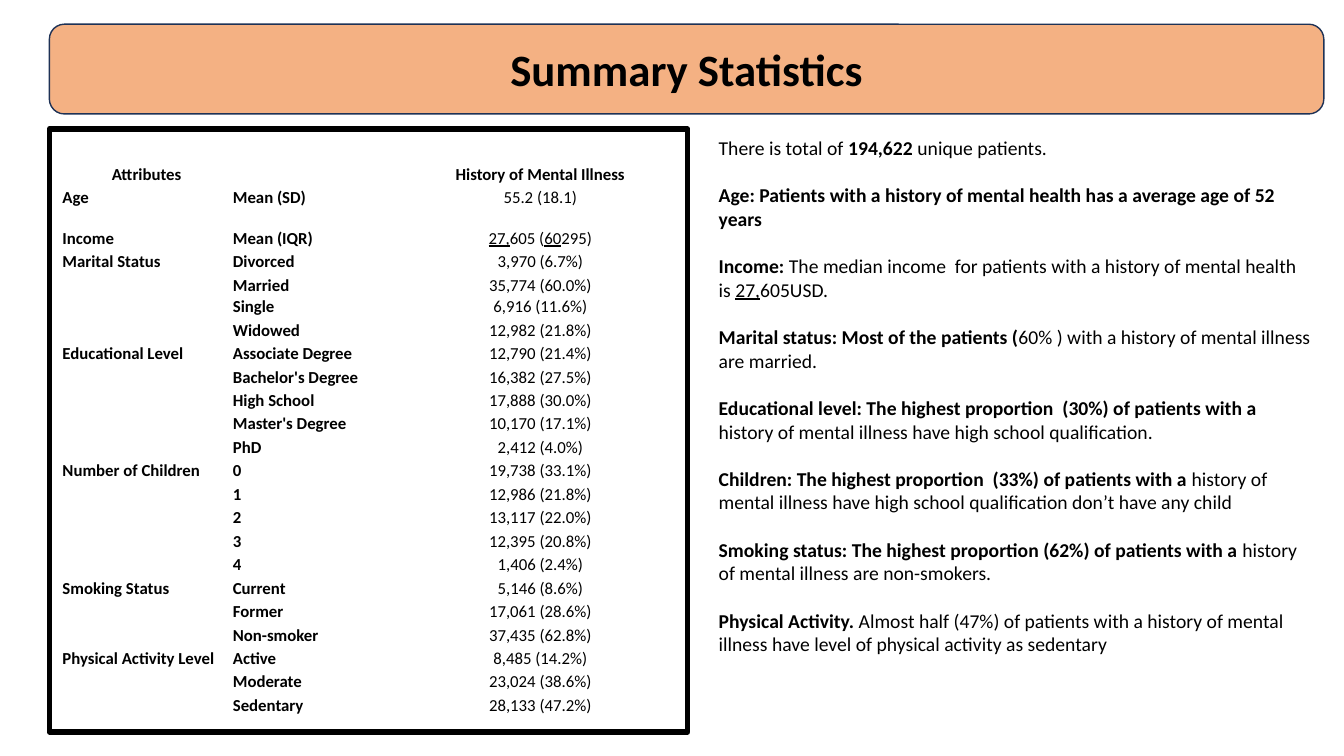
from lxml import etree
from pptx import Presentation
from pptx.dml.color import RGBColor
from pptx.enum.shapes import MSO_SHAPE
from pptx.enum.text import MSO_ANCHOR, MSO_AUTO_SIZE, PP_ALIGN
from pptx.oxml.ns import qn
from pptx.util import Inches, Pt

ROUND, RECT = MSO_SHAPE.ROUNDED_RECTANGLE, MSO_SHAPE.RECTANGLE
MIDDLE, BOTTOM = MSO_ANCHOR.MIDDLE, MSO_ANCHOR.BOTTOM
LEFT, CENTER = PP_ALIGN.LEFT, PP_ALIGN.CENTER
GROW = MSO_AUTO_SIZE.SHAPE_TO_FIT_TEXT
FONT, BLACK, WHITE = "Calibri", "000000", "FFFFFF"

# Each group: attribute, then its levels with their values.
GROUPS = [
    ("Age", [("Mean (SD)", "55.2 (18.1)")]),
    ("Income", [("Mean (IQR)", [("27,", "u"), ("605 (", ""),
                                ("60", "u"), ("295)", "")])]),
    ("Marital Status", [
        ("Divorced", "3,970 (6.7%)"), ("Married", "35,774 (60.0%)"),
        ("Single", "6,916 (11.6%)"), ("Widowed", "12,982 (21.8%)")]),
    ("Educational Level", [
        ("Associate Degree", "12,790 (21.4%)"),
        ("Bachelor's Degree", "16,382 (27.5%)"),
        ("High School", "17,888 (30.0%)"),
        ("Master's Degree", "10,170 (17.1%)"), ("PhD", "2,412 (4.0%)")]),
    ("Number of Children", [
        ("0", "19,738 (33.1%)"), ("1", "12,986 (21.8%)"),
        ("2", "13,117 (22.0%)"), ("3", "12,395 (20.8%)"),
        ("4", "1,406 (2.4%)")]),
    ("Smoking Status", [
        ("Current", "5,146 (8.6%)"), ("Former", "17,061 (28.6%)"),
        ("Non-smoker", "37,435 (62.8%)")]),
    ("Physical Activity Level", [
        ("Active", "8,485 (14.2%)"), ("Moderate", "23,024 (38.6%)"),
        ("Sedentary", "28,133 (47.2%)")]),
]

# Runs carry style flags: b for bold, u for underlined.
NOTES = [
    [("There is total of ", ""), ("194,622", "b"), (" unique patients.", "")],
    [("Age: Patients with a history of mental health has a average age "
      "of 52 years", "b")],
    [("Income: ", "b"),
     ("The median income  for patients with a history of mental health  is ",
      ""), ("27,", "u"), ("605USD.", "")],
    [("Marital status: Most of the patients (", "b"),
     ("60% ) with a history of mental illness are married.", "")],
    [("Educational level: The highest proportion  (30%) of patients with a ",
      "b"),
     ("history of mental illness have high school qualification.", "")],
    [("Children: The highest proportion  (33%) of patients with a ", "b"),
     ("history of mental illness have high school qualification "
      "don’t have any child", "")],
    [("Smoking status: The highest proportion (62%) of patients with a ", "b"),
     ("history of mental illness are non-smokers.", "")],
    [("Physical Activity. ", "b"),
     ("Almost half (47%) of patients with a history of mental illness have "
      "level of physical activity as sedentary", "")],
]


def color(code):
    return RGBColor.from_string(code)


def write(para, runs, size, align=LEFT):
    para.alignment = align
    for text, flags in runs:
        run = para.add_run()
        run.text = text
        font = run.font
        font.name, font.size = FONT, Pt(size)
        font.bold, font.underline = "b" in flags, "u" in flags
        font.color.rgb = color(BLACK)


def panel(slide, kind, box, fill, line, width):
    shape = slide.shapes.add_shape(kind, *map(Inches, box))
    shape.shadow.inherit = False
    shape.fill.solid()
    shape.fill.fore_color.rgb = color(fill)
    shape.line.color.rgb = color(line)
    shape.line.width = Pt(width)


def banner(slide, box, text):
    panel(slide, ROUND, box, "F4B183", "1E3256", 1)
    title = slide.shapes.title
    title.left, title.top, title.width, title.height = map(Inches, box)
    # Move the title in front of its banner.
    slide.shapes.element.append(title.element)
    title.text_frame.vertical_anchor = MIDDLE
    write(title.text_frame.paragraphs[0], [(text, "b")], 32, CENTER)


def border(cell):
    props = cell._tc.get_or_add_tcPr()
    for spot, side in enumerate(("lnL", "lnR", "lnT", "lnB")):
        line = etree.Element(qn("a:" + side), w=str(Pt(1)))
        fill = etree.SubElement(line, qn("a:solidFill"))
        etree.SubElement(fill, qn("a:srgbClr"), val=WHITE)
        props.insert(spot, line)


def dress(cell, runs, align):
    """Format one table cell and fill in its text, if any."""
    cell.margin_left = cell.margin_right = cell.margin_top = Inches(0.01)
    cell.margin_bottom = 0
    cell.vertical_anchor = BOTTOM
    cell.fill.solid()
    cell.fill.fore_color.rgb = color(WHITE)
    border(cell)
    para = cell.text_frame.paragraphs[0]
    write(para, runs, 12, align)
    if not runs:
        etree.SubElement(para._p, qn("a:endParaRPr"), sz="1200")


def stats(slide, box):
    """Draw the framed table of attributes."""
    left, top, width, height = box
    panel(slide, RECT, box, WHITE, BLACK, 4)
    rows = [("", "", ""), ("Attributes", "", [("History of Mental Illness", "b")])]
    for name, levels in GROUPS:
        for spot, (level, value) in enumerate(levels):
            runs = [(value, "")] if isinstance(value, str) else value
            rows.append(("" if spot else name, level, runs))
    inner = (left + 0.12, top + 0.09, 6.06, height - 0.25)
    frame = slide.shapes.add_table(len(rows), 4, *map(Inches, inner))
    table = frame.table
    table.first_row = table.horz_banding = False
    for col, size in zip(table.columns, (1.69, 1.59, 0.16, 2.62)):
        col.width = Inches(size)
    odd = {"Mean (IQR)": 0.4, "Single": 0.21}
    pitch = (inner[3] - sum(odd.values())) / (len(rows) - len(odd))
    for spot, (name, level, value) in enumerate(rows):
        table.rows[spot].height = Inches(odd.get(level, pitch))
        label = [(name, "b")] if name else []
        kind = [(level, "b")] if level else []
        for col, runs in enumerate((label, kind, [], value or [])):
            mid = col == 3 or name == "Attributes"
            dress(table.cell(spot, col), runs, CENTER if mid else LEFT)
    table.cell(0, 2).merge(table.cell(0, 3))


def notes(slide, box):
    frame = slide.shapes.add_textbox(*map(Inches, box)).text_frame
    frame.word_wrap = True
    frame.auto_size = GROW
    for spot, runs in enumerate(NOTES):
        para = frame.add_paragraph() if spot else frame.paragraphs[0]
        write(para, runs, 14)
        if spot:
            para.space_before = Pt(17)


def main():
    deck = Presentation()
    deck.slide_width, deck.slide_height = Inches(13.33), Inches(7.5)
    slide = deck.slides.add_slide(deck.slide_layouts[5])
    banner(slide, (0.49, 0.24, 12.64, 0.89), "Summary Statistics")
    stats(slide, (0.49, 1.28, 6.33, 5.98))
    notes(slide, (7.03, 1.3, 6.1, 5.28))
    deck.save("out.pptx")


if __name__ == "__main__":
    main()
